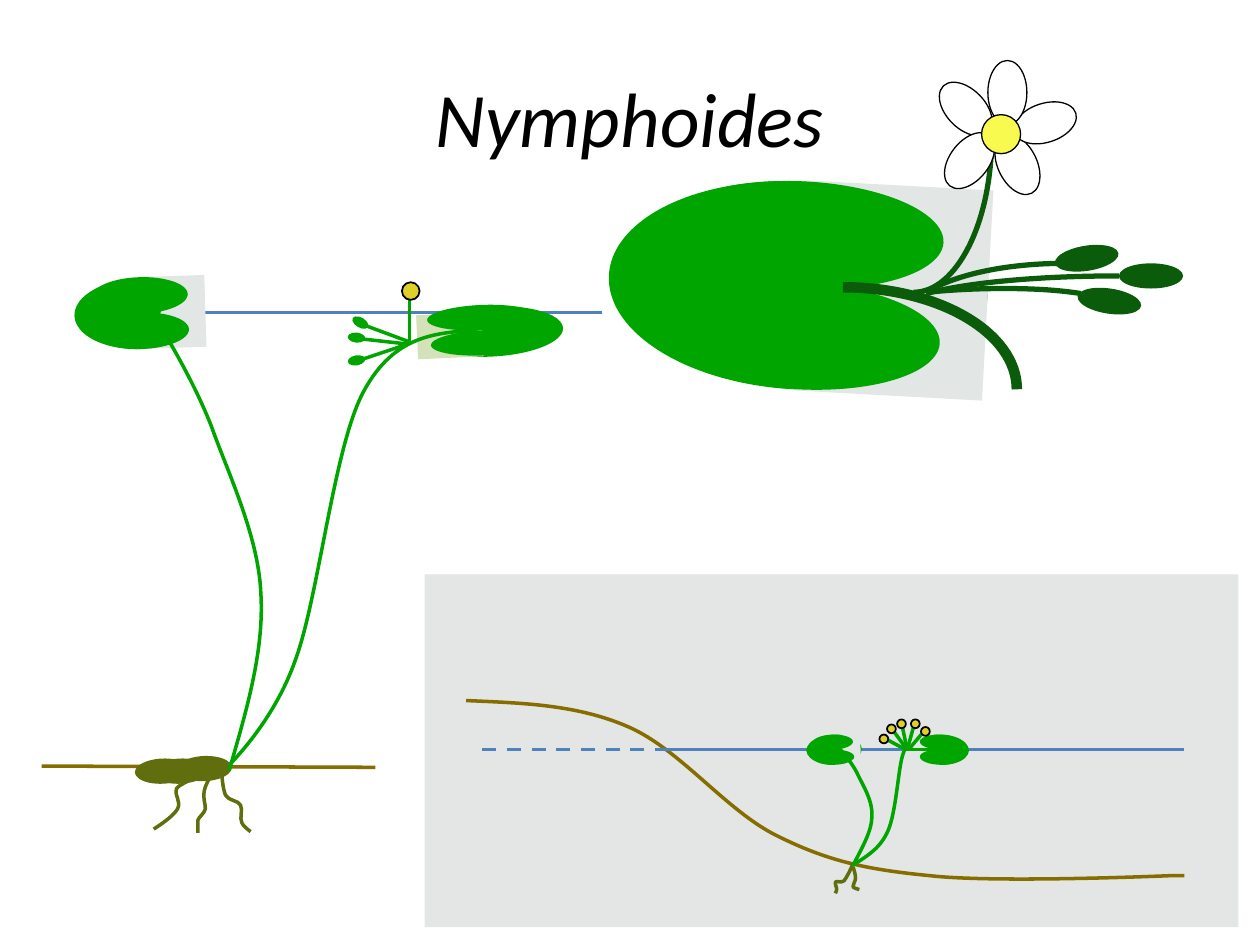
"""Build a slide of the water plant Nymphoides, its leaf, and its habitat."""
from lxml.etree import SubElement
from pptx import Presentation
from pptx.dml.color import RGBColor as RGB
from pptx.enum.dml import MSO_LINE
from pptx.enum.shapes import MSO_CONNECTOR as WIRE, MSO_SHAPE as FORM
from pptx.enum.text import MSO_ANCHOR, PP_ALIGN
from pptx.oxml.ns import qn
from pptx.util import Inches, Pt

BLACK = RGB(0x00, 0x00, 0x00)
WHITE = RGB(0xFF, 0xFF, 0xFF)
GREY = RGB(0xE3, 0xE6, 0xE5)
MIST = RGB(0xE2, 0xE6, 0xE5)
SAGE = RGB(0xD5, 0xE1, 0xB9)
BROWN = RGB(0x86, 0x6D, 0x00)
BLUE = RGB(0x4F, 0x81, 0xBD)
GREEN = RGB(0x00, 0xA5, 0x00)
DARK = RGB(0x0B, 0x5C, 0x0A)
OLIVE = RGB(0x60, 0x6E, 0x0D)
GOLD = RGB(0xDD, 0xD0, 0x26)
LEMON = RGB(0xF8, 0xFA, 0x50)


def write(shape, text, size=44, color=BLACK, font="Calibri", italic=False):
    frame = shape.text_frame
    frame.vertical_anchor = MSO_ANCHOR.MIDDLE
    para = frame.paragraphs[0]
    para.alignment = PP_ALIGN.CENTER
    run = para.add_run()
    run.text = text
    run.font.size, run.font.name, run.font.italic = Pt(size), font, italic
    run.font.color.rgb = color


def paint(host, kind, color, nums, turn=0, edge=0, width=2, dash=None):
    spots = [Inches(n) for n in nums]
    if kind == "line":
        shape = host.shapes.add_connector(WIRE.STRAIGHT, *spots)
    elif kind == "curve":
        pairs = list(zip(spots[::2], spots[1::2]))
        pen = host.shapes.build_freeform(*pairs[0])
        shape = pen.add_line_segments(pairs[1:], close=False).convert_to_shape()
        steps = list(shape.element.iter(qn("a:lnTo")))
        for trio in zip(*[iter(steps)] * 3):
            bend = SubElement(trio[0].getparent(), qn("a:cubicBezTo"))
            bend.extend([step[0] for step in trio])
        for step in steps:
            step.getparent().remove(step)
        shape.fill.background()
    else:
        form = FORM.OVAL if kind == "oval" else FORM.RECTANGLE
        shape = host.shapes.add_shape(form, *spots)
        shape.rotation = turn
        shape.fill.solid()
        shape.fill.fore_color.rgb = color
        color, width = BLACK, edge
    if width:
        shape.line.color.rgb = color
        shape.line.width = Pt(width)
        shape.line.dash_style = dash
    else:
        shape.line.fill.background()
    if kind == "line":
        SubElement(shape.element.spPr, qn("a:effectLst"))
    else:
        shape.shadow.inherit = False


deck = Presentation()
deck.slide_width, deck.slide_height = Inches(10), Inches(7.5)
slide = deck.slides.add_slide(deck.slide_layouts[5])
title = slide.shapes.title
title.left, title.top, title.width, title.height = map(Inches, (0.5, 0.3, 9, 1.25))
write(title, "Nymphoides", italic=True)

paint(slide, "line", BROWN, (2.98, 6.09, 0.33, 6.08))
paint(slide, "rect", GREY, (3.37, 4.56, 6.46, 2.8))
paint(slide, "curve", BROWN, (
    3.7, 5.56, 4.14, 5.58, 4.58, 5.59, 4.99, 5.77, 5.4, 5.95, 5.76, 6.43, 6.16, 6.63,
    6.56, 6.83, 6.86, 6.9, 7.38, 6.95, 7.9, 7.01, 9.29, 6.95, 9.29, 6.95,
    9.33, 6.95, 9.36, 6.95, 9.4, 6.95))
paint(slide, "line", BLUE, (5.31, 5.95, 3.77, 5.95), dash=MSO_LINE.DASH)
paint(slide, "curve", GREEN, (
    6.78, 6.86, 6.89, 6.79, 6.99, 6.73, 7.05, 6.59, 7.11, 6.45, 7.13, 6.12, 7.16, 6.01,
    7.19, 5.9, 7.2, 5.95, 7.21, 5.93))
for root in (
    (6.77, 6.88, 6.78, 6.91, 6.79, 6.94, 6.79, 6.97, 6.79, 6.99, 6.77, 7.02, 6.77, 7.04,
     6.78, 7.05, 6.82, 7.06, 6.82, 7.06),
    (6.77, 6.85, 6.75, 6.91, 6.72, 6.96, 6.7, 6.99, 6.68, 7.01, 6.64, 6.99, 6.63, 7,
     6.62, 7.01, 6.64, 7.03, 6.64, 7.05, 6.64, 7.06, 6.64, 7.08, 6.63, 7.09),
):
    paint(slide, "curve", OLIVE, root)
paint(slide, "line", BLUE, (9.4, 5.95, 5.31, 5.95))

bloom = slide.shapes.add_group_shape()
for kind, color, box in (
    ("oval", GREEN, (7.25, 5.83, 0.44, 0.24)),
    ("rect", MIST, (7.25, 5.83, 0.21, 0.24)),
    ("oval", GREEN, (7.3, 5.95, 0.32, 0.12)),
    ("oval", GREEN, (7.3, 5.83, 0.32, 0.12)),
):
    paint(bloom, kind, color, box, turn=181.8)
for stalk in (
    (7.58, 5.95, 7.18, 5.95), (7.21, 5.95, 7.32, 5.82), (7.2, 5.95, 7.25, 5.77),
    (7.19, 5.95, 7.04, 5.87), (7.2, 5.95, 7.09, 5.8), (7.2, 5.95, 7.16, 5.76),
):
    paint(bloom, "line", GREEN, stalk)
for x, y in ((7.31, 5.77), (6.98, 5.83), (7.23, 5.71), (7.12, 5.71), (7.04, 5.75)):
    paint(bloom, "oval", GOLD, (x, y, 0.07, 0.07), edge=1)

sprout = slide.shapes.add_group_shape()
for kind, color, box in (
    ("oval", GREEN, (6.4, 5.83, 0.44, 0.24)),
    ("rect", MIST, (6.62, 5.83, 0.21, 0.24)),
    ("oval", GREEN, (6.46, 5.95, 0.32, 0.12)),
    ("oval", GREEN, (6.45, 5.83, 0.32, 0.12)),
    ("oval", GREEN, (6.4, 5.89, 0.28, 0.12)),
):
    paint(sprout, kind, color, box, turn=178.2)
paint(sprout, "curve", GREEN, (
    6.77, 6.87, 6.84, 6.73, 6.92, 6.6, 6.92, 6.48, 6.93, 6.35, 6.84, 6.22, 6.8, 6.13,
    6.76, 6.05, 6.67, 5.95, 6.67, 5.95))

paint(slide, "line", BLUE, (4.78, 2.48, 1, 2.48))
plant = slide.shapes.add_group_shape()
for kind, color, box in (
    ("oval", GREEN, (3.32, 2.43, 1.15, 0.4)),
    ("rect", SAGE, (3.31, 2.49, 0.52, 0.35)),
    ("oval", GREEN, (3.42, 2.62, 0.85, 0.2)),
    ("oval", GREEN, (3.39, 2.42, 0.85, 0.2)),
):
    paint(plant, kind, color, box, turn=177.3)
paint(plant, "curve", GREEN, (
    3.79, 2.62, 3.46, 2.64, 3.13, 2.66, 2.89, 3.1, 2.65, 3.53, 2.53, 4.75, 2.34, 5.25,
    2.16, 5.76, 1.78, 6.11, 1.78, 6.11))
for root in (
    (1.76, 6.09, 1.76, 6.17, 1.77, 6.26, 1.79, 6.31, 1.82, 6.36, 1.89, 6.35, 1.91, 6.39,
     1.93, 6.43, 1.9, 6.49, 1.92, 6.53, 1.93, 6.56, 1.99, 6.6, 1.99, 6.6),
    (1.69, 6.13, 1.66, 6.18, 1.63, 6.23, 1.62, 6.28, 1.61, 6.33, 1.63, 6.38, 1.63, 6.42,
     1.62, 6.46, 1.58, 6.48, 1.57, 6.51, 1.57, 6.54, 1.57, 6.61, 1.57, 6.61),
    (1.22, 6.58, 1.3, 6.53, 1.38, 6.47, 1.41, 6.42, 1.44, 6.36, 1.38, 6.3, 1.4, 6.26,
     1.43, 6.22, 1.51, 6.2, 1.53, 6.17, 1.56, 6.14, 1.55, 6.06, 1.55, 6.06),
):
    paint(plant, "curve", OLIVE, root)
for x, y in ((1.4, 6), (1.21, 6.02), (1.07, 6.02)):
    paint(plant, "oval", OLIVE, (x, y, 0.44, 0.2), turn=177.3)

paint(slide, "line", GREEN, (3.25, 2.74, 3.25, 2.36))
paint(slide, "oval", GOLD, (3.19, 2.24, 0.14, 0.14), edge=1)
for stalk, x, y, turn in (
    ((3.23, 2.73, 2.87, 2.69), 2.76, 2.64, 5.7),
    ((3.24, 2.73, 2.88, 2.85), 2.76, 2.82, 349.9),
    ((3.24, 2.71, 2.89, 2.58), 2.79, 2.52, 30.4),
):
    bud = slide.shapes.add_group_shape()
    paint(bud, "line", GREEN, stalk)
    paint(bud, "oval", GREEN, (x, y, 0.14, 0.08), turn=turn)

leaf = slide.shapes.add_group_shape()
for kind, color, box in (
    ("oval", GREEN, (0.59, 2.21, 1.03, 0.56)),
    ("rect", MIST, (1.12, 2.19, 0.51, 0.57)),
    ("oval", GREEN, (0.74, 2.48, 0.76, 0.29)),
    ("oval", GREEN, (0.73, 2.2, 0.76, 0.29)),
    ("oval", GREEN, (0.61, 2.33, 0.67, 0.27)),
):
    paint(leaf, kind, color, box, turn=178.2)

detail = slide.shapes.add_group_shape()
for kind, color, box in (
    ("oval", GREEN, (4.83, 1.44, 3.01, 1.65)),
    ("rect", MIST, (6.36, 1.47, 1.48, 1.67)),
    ("oval", GREEN, (5.24, 2.24, 2.22, 0.85)),
    ("oval", GREEN, (5.27, 1.44, 2.22, 0.85)),
):
    paint(detail, kind, color, box, turn=183.1)
for width, arc in (
    (3, (7.25, 2.32, 7.59, 2.32, 7.87, 1.77, 7.87, 1.09)),
    (6, (6.69, 2.28, 7.45, 2.28, 8.07, 2.64, 8.07, 3.09)),
    (3, (8.46, 2.09, 8.01, 2.09, 7.6, 2.17, 7.35, 2.32)),
    (3, (8.88, 2.19, 8.26, 2.19, 7.69, 2.24, 7.35, 2.33)),
    (3, (8.58, 2.33, 8.39, 2.3, 8.18, 2.29, 7.97, 2.29, 7.76, 2.29, 7.55, 2.3, 7.36, 2.32)),
):
    paint(detail, "curve", DARK, arc, width=width)
for x, y, turn in ((7.51, 0.61, 315.8), (7.54, 1.02, 38.1), (7.92, 1.05, 154),
                   (8.14, 0.72, 72.3), (7.84, 0.48, 0)):
    paint(detail, "oval", WHITE, (x, y, 0.31, 0.51), turn=turn, edge=0.75)
paint(detail, "oval", LEMON, (7.79, 0.91, 0.31, 0.31), edge=0.75)
for x, y, turn in ((8.37, 1.95, 351.1), (8.88, 2.09, 0), (8.55, 2.29, 8.6)):
    paint(detail, "oval", DARK, (x, y, 0.51, 0.2), turn=turn)

paint(slide, "curve", GREEN, (
    1.82, 6.11, 1.96, 5.63, 2.1, 5.15, 2.07, 4.7, 2.05, 4.25, 1.8, 3.73, 1.68, 3.39,
    1.55, 3.05, 1.32, 2.67, 1.32, 2.67))
deck.save("out.pptx")
